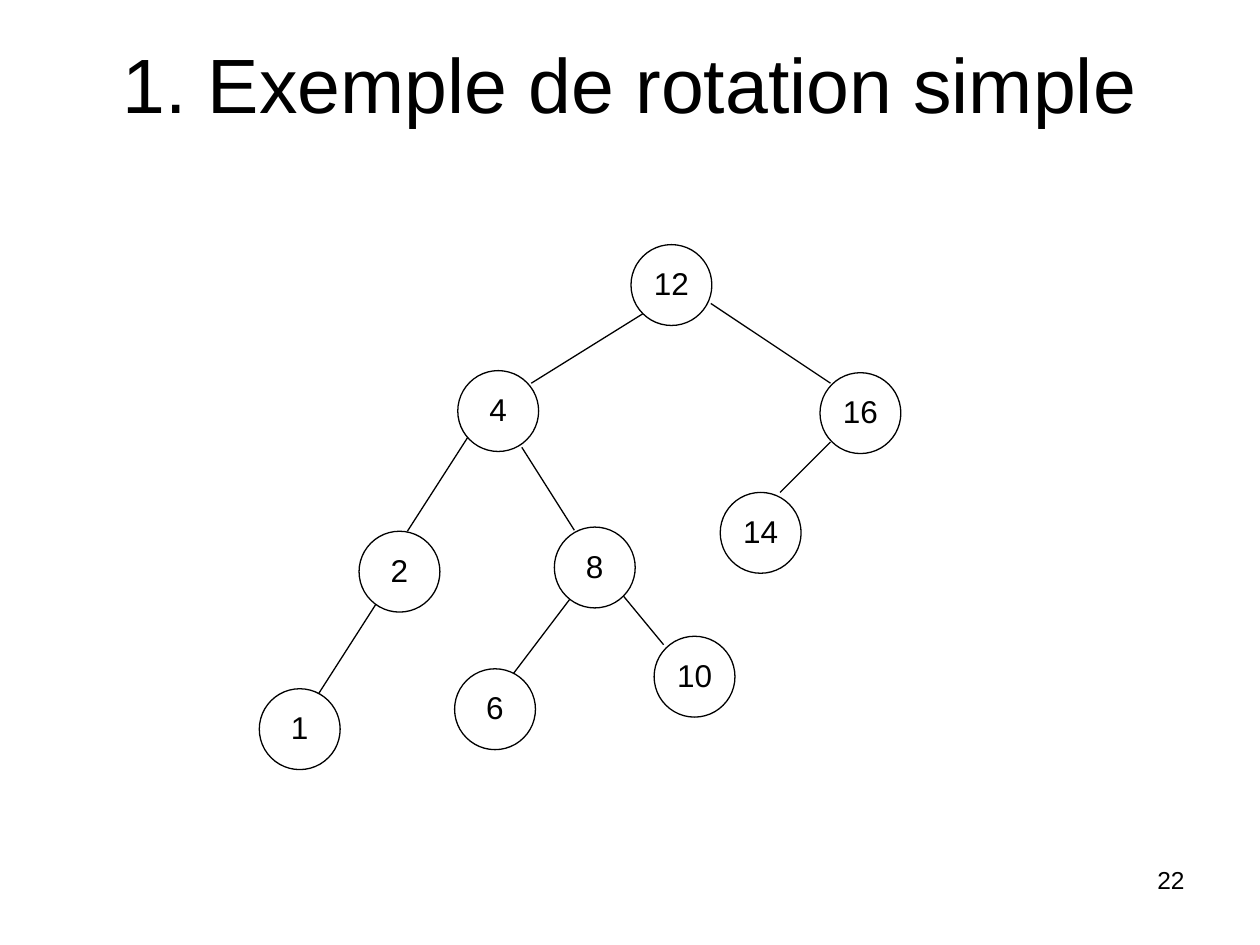
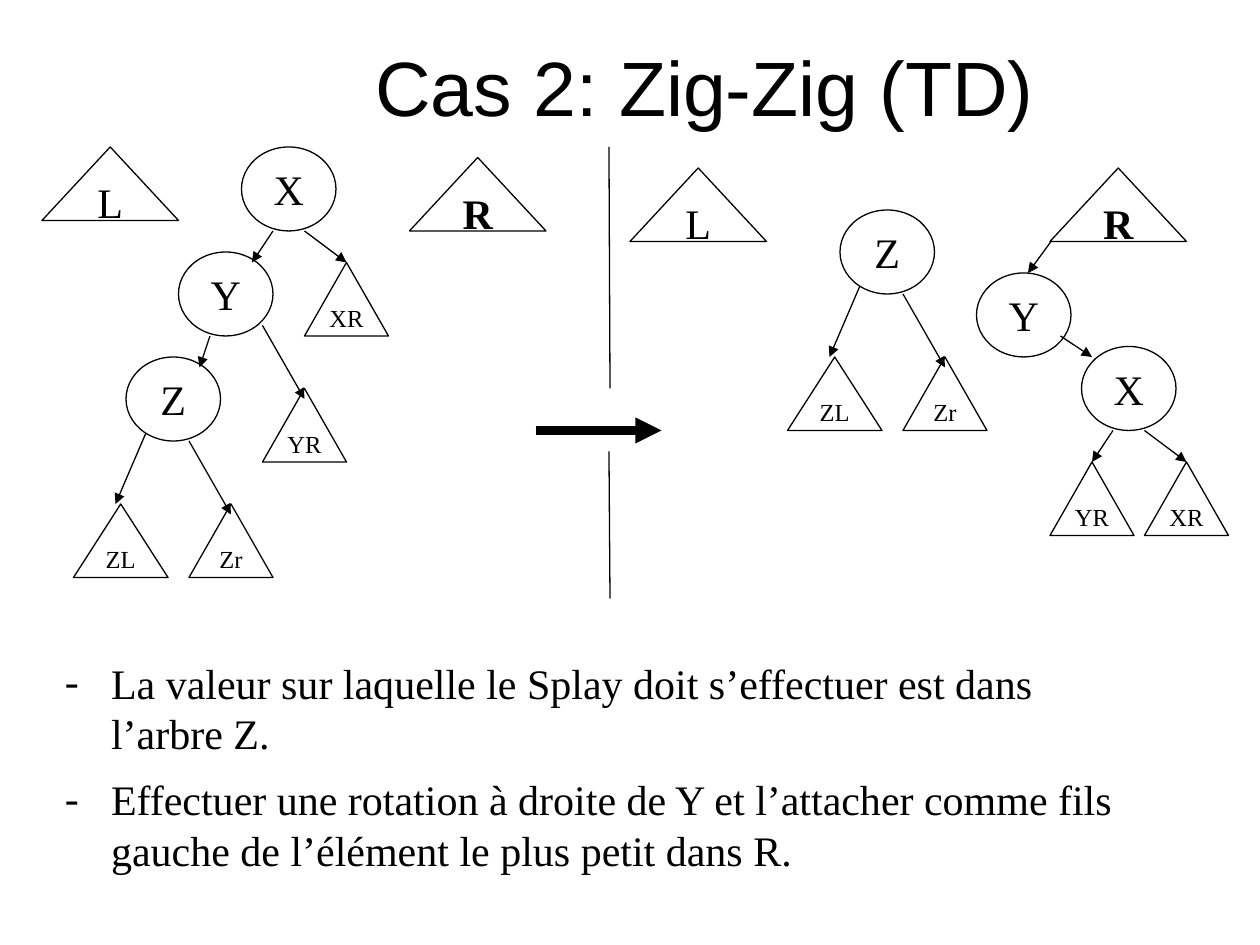
from lxml.etree import SubElement
from pptx import Presentation
from pptx.dml.color import RGBColor
from pptx.enum.shapes import MSO_CONNECTOR, MSO_SHAPE
from pptx.enum.text import MSO_ANCHOR, PP_ALIGN
from pptx.oxml.ns import qn
from pptx.util import Emu, Pt

SCALE = 7620
BLACK, WHITE = "000000", "FFFFFF"
SANS, SERIF = "Arial", "Times New Roman"
NODE = (77, 77)
BALL = (90, 80)
LEAF = (80, 70)
WIDE = (90, 70)
ROOT = (130, 70)

KEYS = {
    12: (601, 233), 4: (436, 353), 16: (781, 355), 2: (342, 506),
    8: (528, 502), 14: (686, 469), 1: (247, 656), 6: (433, 637),
    10: (623, 606),
}
EDGES = [
    (612, 299, 506, 365), (677, 289, 791, 365), (460, 394, 388, 506),
    (497, 426, 547, 505), (791, 421, 743, 469), (366, 563, 300, 666),
    (544, 569, 478, 656), (594, 568, 632, 614),
]
NOTES = [
    "La valeur sur laquelle le Splay doit s’effectuer est dans l’arbre Z.",
    "Effectuer une rotation à droite de Y et l’attacher comme fils gauche "
    "de l’élément le plus petit dans R.",
]


def px(n):
    return Emu(n * SCALE)


def color(code):
    return RGBColor.from_string(code)


def write(frame, *lines, size=24, font=SERIF, bold=False, align=PP_ALIGN.CENTER,
          anchor=MSO_ANCHOR.MIDDLE, wrap=True, inset=(12, 6), lead=None,
          before=None, dash=0):
    """Fill a text frame, one paragraph for each line."""
    frame.word_wrap = wrap
    frame.vertical_anchor = anchor
    frame.margin_left = frame.margin_right = px(inset[0])
    frame.margin_top = frame.margin_bottom = px(inset[1])
    for i, line in enumerate(lines):
        para = frame.paragraphs[0] if i == 0 else frame.add_paragraph()
        para.alignment = align
        if lead:
            para.line_spacing = lead
        if before:
            para.space_before = Pt(before)
        if dash:
            props = para._p.get_or_add_pPr()
            props.set("marL", str(px(dash)))
            props.set("indent", str(px(-dash)))
            SubElement(props, qn("a:buFont"), typeface=font)
            SubElement(props, qn("a:buChar"), char="-")
        run = para.add_run()
        run.text = line
        run.font.size = Pt(size)
        run.font.name = font
        run.font.bold = bold
        run.font.color.rgb = color(BLACK)


def label(slide, box, *lines, **style):
    area = slide.shapes.add_textbox(*map(px, box))
    write(area.text_frame, *lines, **style)


def title(slide, box, text, **style):
    label(slide, box, text, size=44, font=SANS, **style)


def figure(slide, kind, spot, dims, text, **style):
    shape = slide.shapes.add_shape(kind, *map(px, spot + dims))
    shape.shadow.inherit = False
    shape.fill.solid()
    shape.fill.fore_color.rgb = color(WHITE)
    shape.line.color.rgb = color(BLACK)
    shape.line.width = Pt(0.75)
    write(shape.text_frame, text, wrap=False, **style)


def ball(slide, spot, text, dims=BALL, **style):
    figure(slide, MSO_SHAPE.OVAL, spot, dims, text, **style)


def wedge(slide, spot, text, dims=LEAF, size=14, **style):
    figure(slide, MSO_SHAPE.FLOWCHART_EXTRACT, spot, dims, text,
           size=size, **style)


def line(slide, ends, width=0.75, head=False):
    link = slide.shapes.add_connector(MSO_CONNECTOR.STRAIGHT, *map(px, ends))
    link.line.color.rgb = color(BLACK)
    link.line.width = Pt(width)
    if head:
        SubElement(link.line._get_or_add_ln(), qn("a:tailEnd"), type="triangle")
    SubElement(link._element.spPr, qn("a:effectLst"))


def arrow(slide, ends, **style):
    line(slide, ends, head=True, **style)


def roots(slide, left, right):
    """Draw the L and R trees of one side."""
    wedge(slide, left, "L", ROOT, 24)
    wedge(slide, right, "R", ROOT, 24, bold=True)


def tree_x(slide, x, y):
    """Draw X with its right subtree and both arrows."""
    ball(slide, (x, y), "X")
    wedge(slide, (x + 60, y + 110), "XR")
    arrow(slide, (x + 30, y + 80, x + 10, y + 110))
    arrow(slide, (x + 60, y + 80, x + 100, y + 110))


def tree_z(slide, x, y):
    """Draw Z with its two subtrees."""
    wedge(slide, (x - 50, y + 140), "ZL", WIDE)
    wedge(slide, (x + 60, y + 140), "Zr")
    arrow(slide, (x + 20, y + 70, x - 10, y + 140))
    arrow(slide, (x + 60, y + 80, x + 100, y + 150))
    ball(slide, (x, y), "Z")


def simple(slide):
    """Build the simple rotation slide."""
    for ends in EDGES:
        line(slide, ends)
    for key, spot in KEYS.items():
        ball(slide, spot, str(key), NODE, size=18, font=SANS,
             inset=(0, 0), lead=0.93)
    title(slide, (0, 36, 1200, 95), "1. Exemple de rotation simple", lead=0.93)
    label(slide, (860, 820, 280, 62), "22", size=14, font=SANS, lead=0.93,
          align=PP_ALIGN.RIGHT, anchor=MSO_ANCHOR.TOP)


def zigzig(slide):
    """Build the zig-zig slide, before and after the rotation."""
    title(slide, (330, 50, 683, 77), "Cas 2: Zig-Zig (TD)",
          inset=(0, 0), lead=0.87)

    roots(slide, (40, 140), (390, 150))
    ball(slide, (170, 240), "Y")
    wedge(slide, (250, 370), "YR")
    tree_x(slide, 230, 140)
    tree_z(slide, 120, 340)
    arrow(slide, (200, 320, 190, 350))
    arrow(slide, (250, 310, 290, 380))

    roots(slide, (600, 160), (1000, 160))
    ball(slide, (930, 260), "Y")
    wedge(slide, (1000, 440), "YR")
    tree_x(slide, 1030, 330)
    tree_z(slide, 800, 200)
    arrow(slide, (1001, 230, 979, 260))
    arrow(slide, (1010, 320, 1040, 340))

    line(slide, (580, 140, 581, 370))
    line(slide, (580, 430, 581, 570))
    arrow(slide, (510, 410, 630, 410), width=5)
    label(slide, (50, 620, 1060, 220), *NOTES, align=PP_ALIGN.LEFT,
          anchor=MSO_ANCHOR.TOP, before=9, dash=44)


def main():
    deck = Presentation()
    deck.slide_width, deck.slide_height = px(1200), px(900)
    for build in (simple, zigzig):
        build(deck.slides.add_slide(deck.slide_layouts[6]))
    deck.save("out.pptx")


if __name__ == "__main__":
    main()
